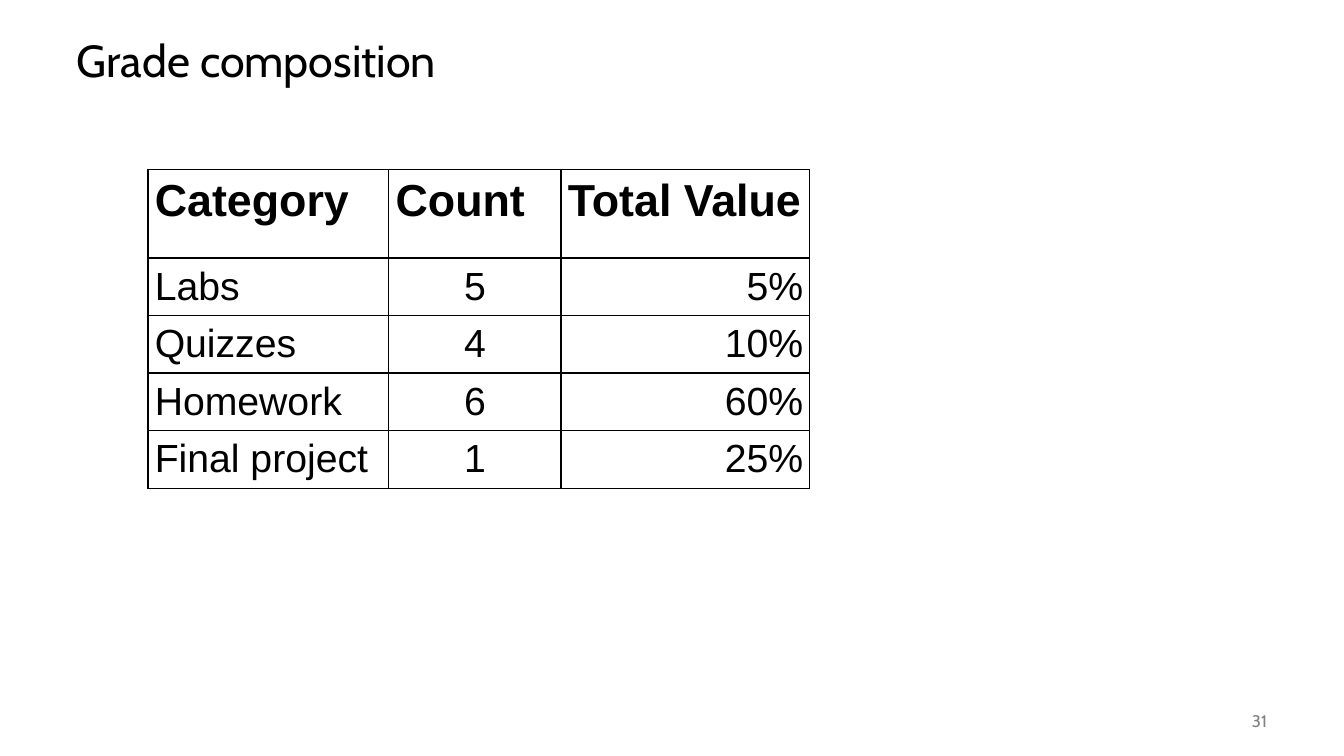
from lxml.etree import SubElement
from pptx import Presentation
from pptx.dml.color import RGBColor
from pptx.enum.text import MSO_ANCHOR, PP_ALIGN
from pptx.oxml.ns import qn
from pptx.util import Cm, Pt

COLORS = {"ink": "000000", "muted": "808080"}
ROWS = [
    ("Category", "Count", "Total Value"),
    ("Labs", "5", "5%"),
    ("Quizzes", "4", "10%"),
    ("Homework", "6", "60%"),
    ("Final project", "1", "25%"),
]
COL_WIDTHS = (6.07, 4.34, 6.27)
HEADER_HEIGHT, ROW_HEIGHT = 2.23, 1.45
BODY_ALIGNS = (PP_ALIGN.LEFT, PP_ALIGN.CENTER, PP_ALIGN.RIGHT)


class Deck:
    """Hold the presentation, its style and the current slide."""

    def __init__(self):
        """Open a presentation with one title-only slide."""
        self.prs = Presentation()
        self.prs.slide_width, self.prs.slide_height = Cm(33.87), Cm(19.05)
        self.s = self.prs.slides.add_slide(self.prs.slide_layouts[5])

    def add_text(self, tf, text, size, font="Cabin", color="ink", bold=False,
                 align=PP_ALIGN.LEFT, spacing=1.0):
        """Put one formatted paragraph into a text frame."""
        p = tf.paragraphs[0]
        for name, value in {"alignment": align, "line_spacing": spacing}.items():
            setattr(p, name, value)
        r = p.add_run()
        r.text = text
        for name, value in {"name": font, "size": Pt(size), "bold": bold}.items():
            setattr(r.font, name, value)
        r.font.color.rgb = RGBColor.from_string(COLORS[color])

    def place(self, sp, left, top, width, height):
        """Place a text shape and centre its text vertically."""
        box = {"left": left, "top": top, "width": width, "height": height}
        for name, value in box.items():
            setattr(sp, name, Cm(value))
        tf = sp.text_frame
        tf.word_wrap = True
        tf.vertical_anchor = MSO_ANCHOR.MIDDLE
        return tf

    def title(self, text):
        """Fill the title placeholder."""
        tf = self.place(self.s.shapes.title, 1.68, 0.64, 30.48, 1.9)
        self.add_text(tf, text, 32, spacing=0.9)

    def page_number(self, text):
        """Add the page number at the bottom right."""
        sp = self.s.shapes.add_textbox(0, 0, 0, 0)
        tf = self.place(sp, 29.64, 17.65, 2.54, 1.02)
        self.add_text(tf, text, 12, color="muted", align=PP_ALIGN.RIGHT)

    def cell(self, cell, text, **style):
        """Format one table cell with borders, margins and text."""
        for side in ("left", "right", "top", "bottom"):
            setattr(cell, f"margin_{side}", Cm(0.17))
        tcPr = cell._tc.get_or_add_tcPr()
        for side in "LRTB":
            ln = SubElement(tcPr, qn(f"a:ln{side}"), w=str(Pt(1)))
            fill = SubElement(ln, qn("a:solidFill"))
            SubElement(fill, qn("a:srgbClr"), val=COLORS["ink"])
        cell.fill.background()
        self.add_text(cell.text_frame, text, font="Arial", **style)

    def table(self, rows, left, top):
        """Add the grid with a bold header row."""
        heights = [HEADER_HEIGHT] + [ROW_HEIGHT] * (len(rows) - 1)
        tbl = self.s.shapes.add_table(
            len(rows), len(COL_WIDTHS), Cm(left), Cm(top),
            Cm(sum(COL_WIDTHS)), Cm(sum(heights))).table
        tbl.first_row = tbl.horz_banding = False
        for col, width in zip(tbl.columns, COL_WIDTHS):
            col.width = Cm(width)
        for i, (row, height) in enumerate(zip(rows, heights)):
            tbl.rows[i].height = Cm(height)
            for j, text in enumerate(row):
                style = ({"size": 28, "align": BODY_ALIGNS[j]} if i
                         else {"size": 32, "bold": True})
                self.cell(tbl.cell(i, j), text, **style)


def main():
    """Build and save the slide."""
    deck = Deck()
    deck.title("Grade composition")
    deck.table(ROWS, 3.73, 4.27)
    deck.page_number("31")
    deck.prs.save("out.pptx")


if __name__ == "__main__":
    main()
